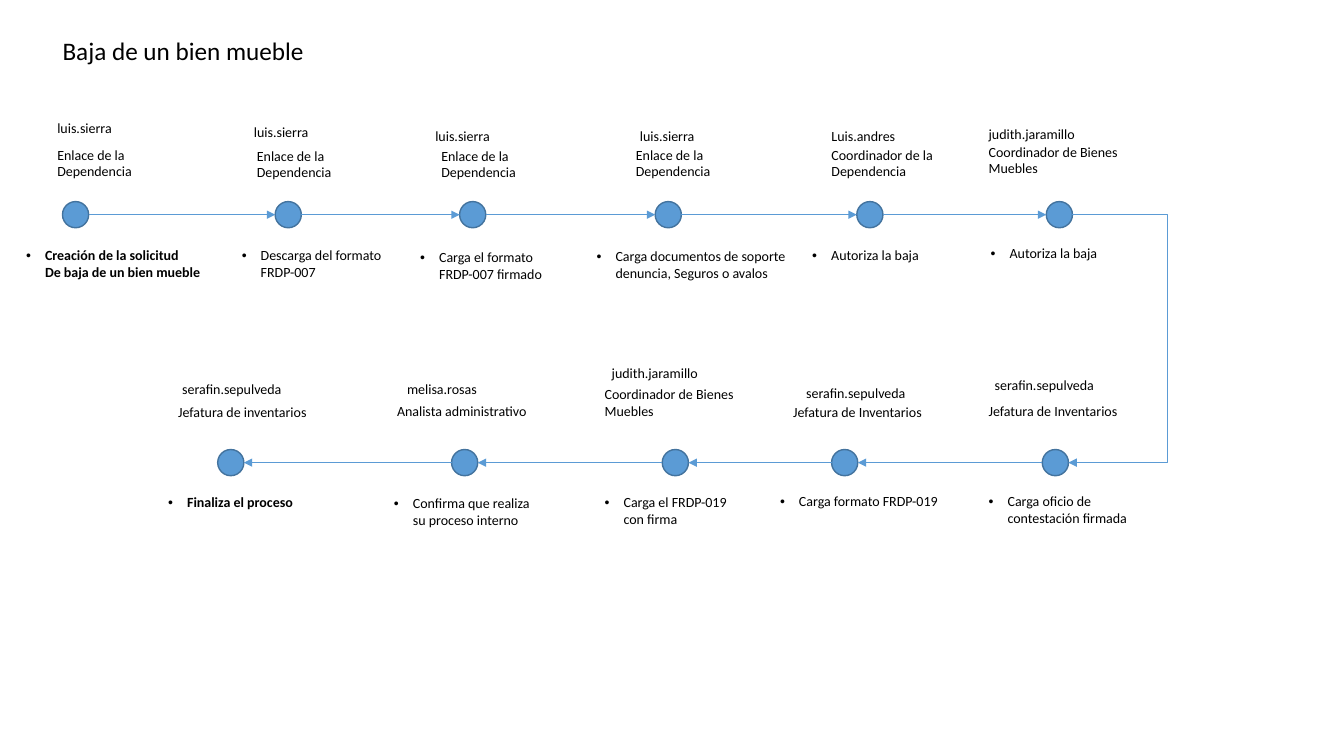
"""Draw the eleven-step flow for retiring a movable asset."""
from dataclasses import dataclass
from itertools import pairwise

from lxml import etree
from pptx import Presentation
from pptx.dml.color import RGBColor
from pptx.enum.shapes import MSO_CONNECTOR, MSO_SHAPE
from pptx.enum.text import MSO_ANCHOR, MSO_AUTO_SIZE, PP_ALIGN
from pptx.oxml.ns import qn
from pptx.util import Inches, Pt

STRAIGHT, ELBOW = MSO_CONNECTOR.STRAIGHT, MSO_CONNECTOR.ELBOW
OVAL = MSO_SHAPE.OVAL
TOP = MSO_ANCHOR.TOP
FIT_SHAPE = MSO_AUTO_SIZE.SHAPE_TO_FIT_TEXT
LEFT = PP_ALIGN.LEFT

BLUE = RGBColor(0x5B, 0x9B, 0xD5)
DARK_BLUE = RGBColor(0x43, 0x73, 0x9E)
BLACK = RGBColor(0, 0, 0)

FONT = "Calibri"
CELL = Inches(0.1)
SLIDE_COLUMNS, SLIDE_ROWS = 133.33, 75
DOT = 2.6
UPPER_ROW, LOWER_ROW = 20, 44.6
TURN_COLUMN = 115.8
BULLET_INDENT = 1.88


@dataclass(frozen=True)
class Label:
    """A text placed on the grid, in columns and rows."""
    left: float
    top: float
    width: float
    text: str

    @property
    def height(self) -> float:
        """Rows needed by the lines of text."""
        return 2.7 + 1.7 * self.text.count("\n")


@dataclass(frozen=True)
class Step:
    """A dot of the flow with its user, role and task."""
    column: float
    user: Label
    role: Label
    task: Label
    bold: bool = False


UPPER_STEPS = [
    Step(6.2, Label(4.7, 11.4, 7.5, "luis.sierra"),
         Label(4.7, 14, 9.5, "Enlace de la\nDependencia"),
         Label(1.6, 24, 19.5, "Creación de la solicitud\nDe baja de un bien mueble"), True),
    Step(27.3, Label(24.2, 11.8, 7.5, "luis.sierra"),
         Label(24.5, 14.1, 9.5, "Enlace de la\nDependencia"),
         Label(23, 24, 16.1, "Descarga del formato\nFRDP-007")),
    Step(45.6, Label(42.2, 12.2, 7.5, "luis.sierra"),
         Label(42.8, 14.1, 9.5, "Enlace de la\nDependencia"),
         Label(40.7, 24.2, 14.3, "Carga el formato\nFRDP-007 firmado")),
    Step(65, Label(62.5, 12.2, 7.5, "luis.sierra"),
         Label(62.1, 14, 9.5, "Enlace de la\nDependencia"),
         Label(58.2, 24.1, 21.4, "Carga documentos de soporte\ndenuncia, Seguros o avalos")),
    Step(85, Label(81.5, 12.2, 8.4, "Luis.andres"),
         Label(81.5, 14, 12.2, "Coordinador de la\nDependencia"),
         Label(79.6, 24, 12.7, "Autoriza la baja")),
    Step(103.8, Label(97.1, 12, 10.7, "judith.jaramillo"),
         Label(97.1, 13.7, 15, "Coordinador de Bienes\nMuebles"),
         Label(97.3, 23.8, 12.7, "Autoriza la baja")),
]
LOWER_STEPS = [
    Step(103.4, Label(97.7, 36.9, 12, "serafin.sepulveda"),
         Label(97.1, 39.4, 15.1, "Jefatura de Inventarios"),
         Label(97.1, 48.4, 16, "Carga oficio de\ncontestación firmada")),
    Step(82.5, Label(79, 37.7, 12, "serafin.sepulveda"),
         Label(77.7, 39.5, 15.1, "Jefatura de Inventarios"),
         Label(76.4, 48.4, 18, "Carga formato FRDP-019")),
    Step(65.7, Label(59.7, 35.7, 10.7, "judith.jaramillo"),
         Label(59, 37.8, 15, "Coordinador de Bienes\nMuebles"),
         Label(59, 48.5, 14.7, "Carga el FRDP-019\ncon firma")),
    Step(44.8, Label(39.4, 37.3, 9, "melisa.rosas"),
         Label(38.4, 39.4, 15.1, "Analista administrativo"),
         Label(38.1, 48.6, 16, "Confirma que realiza\nsu proceso interno")),
    Step(21.6, Label(17.1, 37.3, 12, "serafin.sepulveda"),
         Label(16.7, 39.5, 15, "Jefatura de inventarios"),
         Label(15.7, 48.5, 14.6, "Finaliza el proceso"), True),
]


def grid(cells: float) -> int:
    """Turn grid columns or rows into a length."""
    return round(cells * CELL)


def fill_frame(frame, text: str, size: float, bold: bool = False) -> None:
    """Write left-aligned black text that sizes its frame."""
    frame.text = text
    frame.word_wrap = False
    frame.auto_size = FIT_SHAPE
    frame.vertical_anchor = TOP
    for paragraph in frame.paragraphs:
        paragraph.alignment = LEFT
        font = paragraph.font
        font.name, font.size, font.bold = FONT, Pt(size), bold
        font.color.rgb = BLACK


def draw_label(shapes, label: Label, bold: bool = False):
    """Add a label and return its text frame."""
    box = shapes.add_textbox(grid(label.left), grid(label.top),
                             grid(label.width), grid(label.height))
    fill_frame(box.text_frame, label.text, 10, bold)
    return box.text_frame


def draw_task(shapes, task: Label, bold: bool) -> None:
    """Add a task with a bullet on its first line."""
    paragraphs = draw_label(shapes, task, bold).paragraphs
    for number, paragraph in enumerate(paragraphs):
        properties = paragraph._p.get_or_add_pPr()
        properties.set("marL", str(grid(BULLET_INDENT)))
        if number == 0:
            properties.set("indent", str(-grid(BULLET_INDENT)))
            bullet_font = etree.Element(qn("a:buFont"), typeface="Arial")
            bullet = etree.Element(qn("a:buChar"), char="•")
            default_run = properties.find(qn("a:defRPr"))
            default_run.addprevious(bullet_font)
            default_run.addprevious(bullet)


def draw_step(shapes, step: Step, row: float) -> None:
    """Add one dot of the flow and its three labels."""
    dot = shapes.add_shape(OVAL, grid(step.column), grid(row), grid(DOT), grid(DOT))
    dot.shadow.inherit = False
    dot.fill.solid()
    dot.fill.fore_color.rgb = BLUE
    dot.line.color.rgb = DARK_BLUE
    dot.line.width = Pt(1)
    draw_label(shapes, step.user)
    draw_label(shapes, step.role)
    draw_task(shapes, step.task, step.bold)


def draw_arrow(shapes, kind, start: tuple[float, float], end: tuple[float, float]):
    """Add a thin arrow between two grid points."""
    arrow = shapes.add_connector(kind, *map(grid, start + end))
    arrow.line.color.rgb = BLUE
    arrow.line.width = Pt(0.5)
    etree.SubElement(arrow.line._get_or_add_ln(), qn("a:tailEnd"), type="triangle")
    etree.SubElement(arrow._element.spPr, qn("a:effectLst"))
    return arrow


def draw_turn(shapes) -> None:
    """Add the arrow that leads from the upper to the lower row."""
    start = UPPER_STEPS[-1].column + DOT
    end = LOWER_STEPS[0].column + DOT
    turn = draw_arrow(shapes, ELBOW, (start, UPPER_ROW + DOT / 2),
                      (end, LOWER_ROW + DOT / 2))
    bend = round((start - TURN_COLUMN) / (start - end) * 100000)
    guides = turn._element.spPr.find(qn("a:prstGeom")).get_or_add_avLst()
    etree.SubElement(guides, qn("a:gd"), name="adj1", fmla=f"val {bend}")


def main() -> None:
    """Build and save the slide."""
    presentation = Presentation()
    presentation.slide_width = grid(SLIDE_COLUMNS)
    presentation.slide_height = grid(SLIDE_ROWS)
    slide = presentation.slides.add_slide(presentation.slide_layouts[5])
    shapes = slide.shapes

    title = shapes.title
    title.left, title.top, title.width, title.height = map(grid, (5.2, 3, 26.3, 4))
    fill_frame(title.text_frame, "Baja de un bien mueble", 18)

    for steps, row in ((UPPER_STEPS, UPPER_ROW), (LOWER_STEPS, LOWER_ROW)):
        middle = row + DOT / 2
        for step in steps:
            draw_step(shapes, step, row)
        for here, following in pairwise(steps):
            forward = following.column > here.column
            start = here.column + (DOT if forward else 0)
            end = following.column + (0 if forward else DOT)
            draw_arrow(shapes, STRAIGHT, (start, middle), (end, middle))
    draw_turn(shapes)
    presentation.save("out.pptx")


if __name__ == "__main__":
    main()
